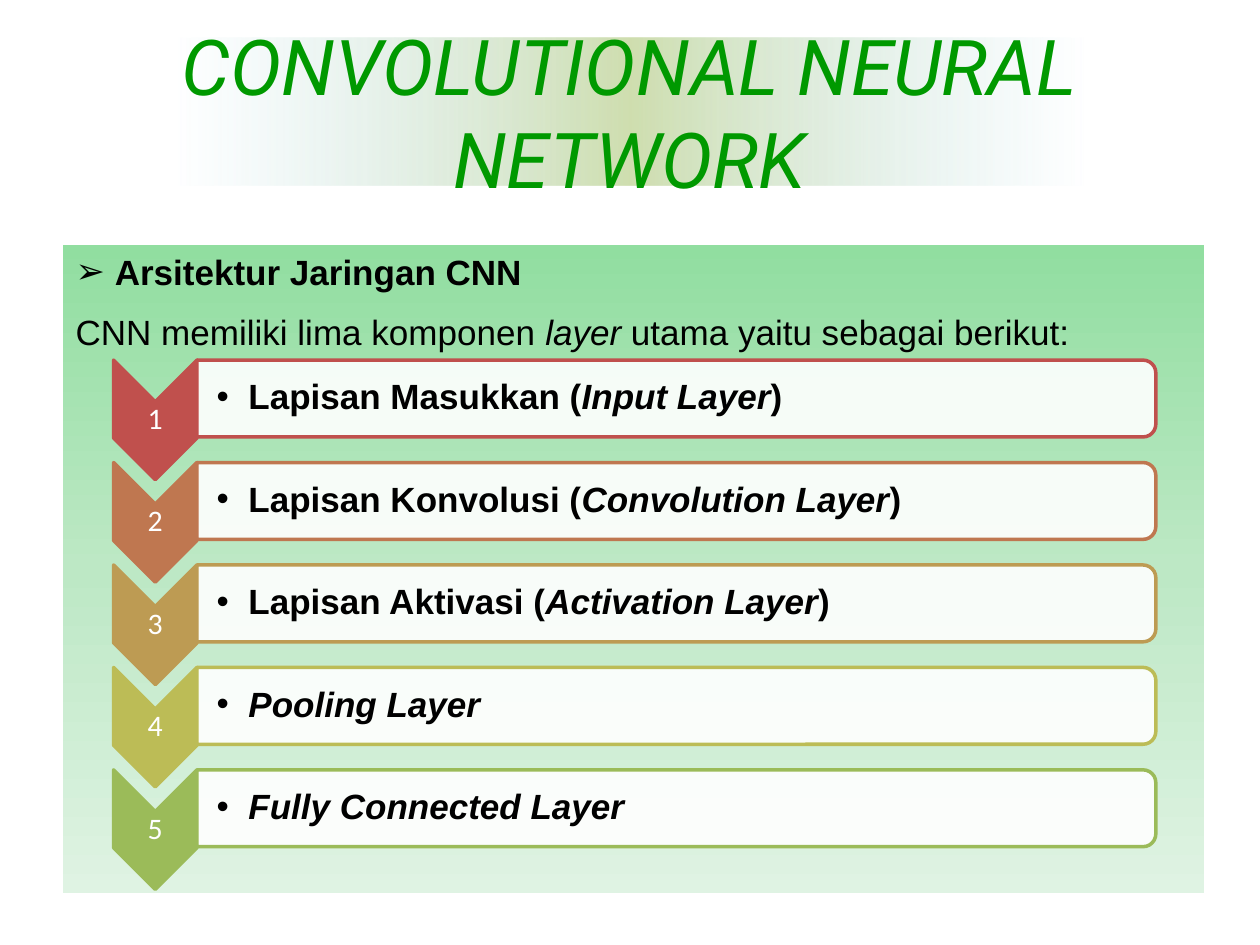
from lxml import etree
from pptx import Presentation
from pptx.dml.color import RGBColor
from pptx.enum import shapes, text
from pptx.oxml.ns import qn
from pptx.util import Cm, Pt

GREEN = RGBColor(0x00, 0x99, 0x00)
BLACK = RGBColor(0x00, 0x00, 0x00)
WHITE = RGBColor(0xFF, 0xFF, 0xFF)
ICE = RGBColor(0xB7, 0xDE, 0xE8)
OLIVE = RGBColor(0xC3, 0xD6, 0x9B)
MINT = RGBColor(0x91, 0xDE, 0xA0)
LIGHT_MINT = RGBColor(0xBD, 0xE8, 0xC5)
PALE_MINT = RGBColor(0xDF, 0xF3, 0xE3)

# Colour of each layer and its label as (text, italic) runs
LAYERS = [
    (RGBColor(0xC0, 0x50, 0x4D),
     [("Lapisan Masukkan (", False), ("Input Layer", True), (")", False)]),
    (RGBColor(0xBF, 0x77, 0x50),
     [("Lapisan Konvolusi (", False), ("Convolution Layer", True), (")", False)]),
    (RGBColor(0xBD, 0x9B, 0x53),
     [("Lapisan Aktivasi (", False), ("Activation Layer", True), (")", False)]),
    (RGBColor(0xBC, 0xBC, 0x56), [("Pooling Layer", True)]),
    (RGBColor(0x9B, 0xBB, 0x59), [("Fully Connected Layer", True)]),
]


def place(shape, left, top, width, height):
    shape.left, shape.top = Cm(left), Cm(top)
    shape.width, shape.height = Cm(width), Cm(height)


def set_alpha(color_element, percent):
    etree.SubElement(color_element, qn("a:alpha"), val=str(percent * 1000))


def fill_gradient(shape, stops, angle):
    """Fill with (position, colour, opacity) stops, all but angle in percent."""
    shape.fill.gradient()
    gradient = shape.element.spPr.find(qn("a:gradFill"))
    stop_list = gradient.find(qn("a:gsLst"))
    for stop in list(stop_list):
        stop_list.remove(stop)
    for position, color, opacity in stops:
        stop = etree.SubElement(stop_list, qn("a:gs"), pos=str(position * 1000))
        set_alpha(etree.SubElement(stop, qn("a:srgbClr"), val=str(color)), opacity)
    gradient.find(qn("a:lin")).set("ang", str(angle * 60000))


def set_bullet(paragraph, character=None, indent=0):
    properties = paragraph._p.get_or_add_pPr()
    properties.set("marL", str(Cm(indent)))
    properties.set("indent", str(-Cm(indent)))
    if character:
        etree.SubElement(properties, qn("a:buFont"), typeface="Arial")
        etree.SubElement(properties, qn("a:buChar"), char=character)
    else:
        etree.SubElement(properties, qn("a:buNone"))


def add_run(paragraph, words, size, color, name="Arial", bold=False, italic=False):
    run = paragraph.add_run()
    run.text = words
    font = run.font
    font.name, font.size, font.bold, font.italic = name, Pt(size), bold, italic
    font.color.rgb = color


def add_turned_shape(slide, kind, left, top, width, height, fill, line):
    """Add a shape turned by 90 degrees that covers the given box."""
    shape = slide.shapes.add_shape(
        kind, Cm(left + (width - height) / 2), Cm(top + (height - width) / 2),
        Cm(height), Cm(width))
    shape.rotation = 90
    shape.shadow.inherit = False
    shape.fill.solid()
    shape.fill.fore_color.rgb = fill
    shape.line.color.rgb = line
    shape.line.width = Pt(2)
    return shape


def add_label(slide, left, top, width, height, left_inset=0.03):
    """Add a tight, vertically centred text box and return its paragraph."""
    box = slide.shapes.add_textbox(Cm(left), Cm(top), Cm(width), Cm(height))
    frame = box.text_frame
    frame.word_wrap = True
    frame.vertical_anchor = text.MSO_ANCHOR.MIDDLE
    frame.margin_left = Cm(left_inset)
    frame.margin_top = frame.margin_right = frame.margin_bottom = Cm(0.03)
    paragraph = frame.paragraphs[0]
    paragraph.line_spacing = 0.9
    return paragraph


def build_title(slide, left, top, width, height):
    title = slide.shapes.title
    place(title, left, top, width, height)
    fill_gradient(title, [(10, ICE, 0), (50, OLIVE, 80), (90, ICE, 0)], 0)
    frame = title.text_frame
    frame.auto_size = text.MSO_AUTO_SIZE.NONE
    frame.vertical_anchor = text.MSO_ANCHOR.MIDDLE
    paragraph = frame.paragraphs[0]
    paragraph.alignment = text.PP_ALIGN.CENTER
    add_run(paragraph, "CONVOLUTIONAL NEURAL NETWORK", 44, GREEN, "Roboto", italic=True)


def build_introduction(slide, left, top, width, height):
    body = slide.placeholders[1]
    place(body, left, top, width, height + 0.2)

    # Green panel behind the text
    panel = slide.shapes.add_shape(
        shapes.MSO_SHAPE.RECTANGLE, Cm(left), Cm(top), Cm(width), Cm(height))
    panel.shadow.inherit = False
    panel.line.fill.background()
    fill_gradient(
        panel, [(0, MINT, 100), (50, LIGHT_MINT, 100), (100, PALE_MINT, 100)], 90)
    body.element.addprevious(panel.element)

    # Heading and opening sentence
    frame = body.text_frame
    frame.auto_size = text.MSO_AUTO_SIZE.NONE
    heading, sentence = frame.paragraphs[0], frame.add_paragraph()
    set_bullet(heading, "➢", 0.79)
    set_bullet(sentence)
    for paragraph, space_before in ((heading, 0), (sentence, 4)):
        paragraph.alignment = text.PP_ALIGN.JUSTIFY
        paragraph.space_before = Pt(space_before)
        paragraph.space_after = Pt(6)
    add_run(heading, "Arsitektur Jaringan CNN", 20, BLACK, bold=True)
    add_run(sentence, "CNN memiliki lima komponen ", 20, BLACK)
    add_run(sentence, "layer", 20, BLACK, italic=True)
    add_run(sentence, " utama yaitu sebagai berikut:", 20, BLACK)


def build_layer_list(slide, left, top, width, height):
    arrow_width, arrow_height, bar_height = 1.68, 2.41, 1.55
    tip = arrow_width / 2
    pitch = (height - arrow_height) / (len(LAYERS) - 1)
    bar_left, bar_width = left + arrow_width, width - arrow_width

    for index, (color, runs) in enumerate(LAYERS):
        row_top = top + index * pitch

        # Numbered arrow
        add_turned_shape(slide, shapes.MSO_SHAPE.CHEVRON, left, row_top,
                         arrow_width, arrow_height, color, color)
        number = add_label(slide, left, row_top + tip,
                           arrow_width, arrow_height - 2 * tip)
        number.alignment = text.PP_ALIGN.CENTER
        add_run(number, str(index + 1), 17, WHITE, "Calibri")

        # Bar with the layer name
        bar = add_turned_shape(slide, shapes.MSO_SHAPE.ROUND_2_SAME_RECTANGLE,
                               bar_left, row_top, bar_width, bar_height, WHITE, color)
        fill = bar.element.spPr.find(qn("a:solidFill"))
        set_alpha(fill[0], 90)
        label = add_label(slide, bar_left, row_top + 0.08,
                          bar_width - 0.08, bar_height - 0.16, 0.4)
        set_bullet(label, "•", 0.64)
        for words, italic in runs:
            add_run(label, words, 20, BLACK, bold=True, italic=italic)


def main():
    presentation = Presentation()
    presentation.slide_width, presentation.slide_height = Cm(25.4), Cm(19.05)
    slide = presentation.slides.add_slide(presentation.slide_layouts[1])
    build_title(slide, 1.27, 0.76, 22.86, 2.97)
    build_introduction(slide, 1.27, 4.93, 23.01, 13.08)
    build_layer_list(slide, 2.29, 7.26, 21.01, 10.67)
    presentation.save("out.pptx")


if __name__ == "__main__":
    main()
